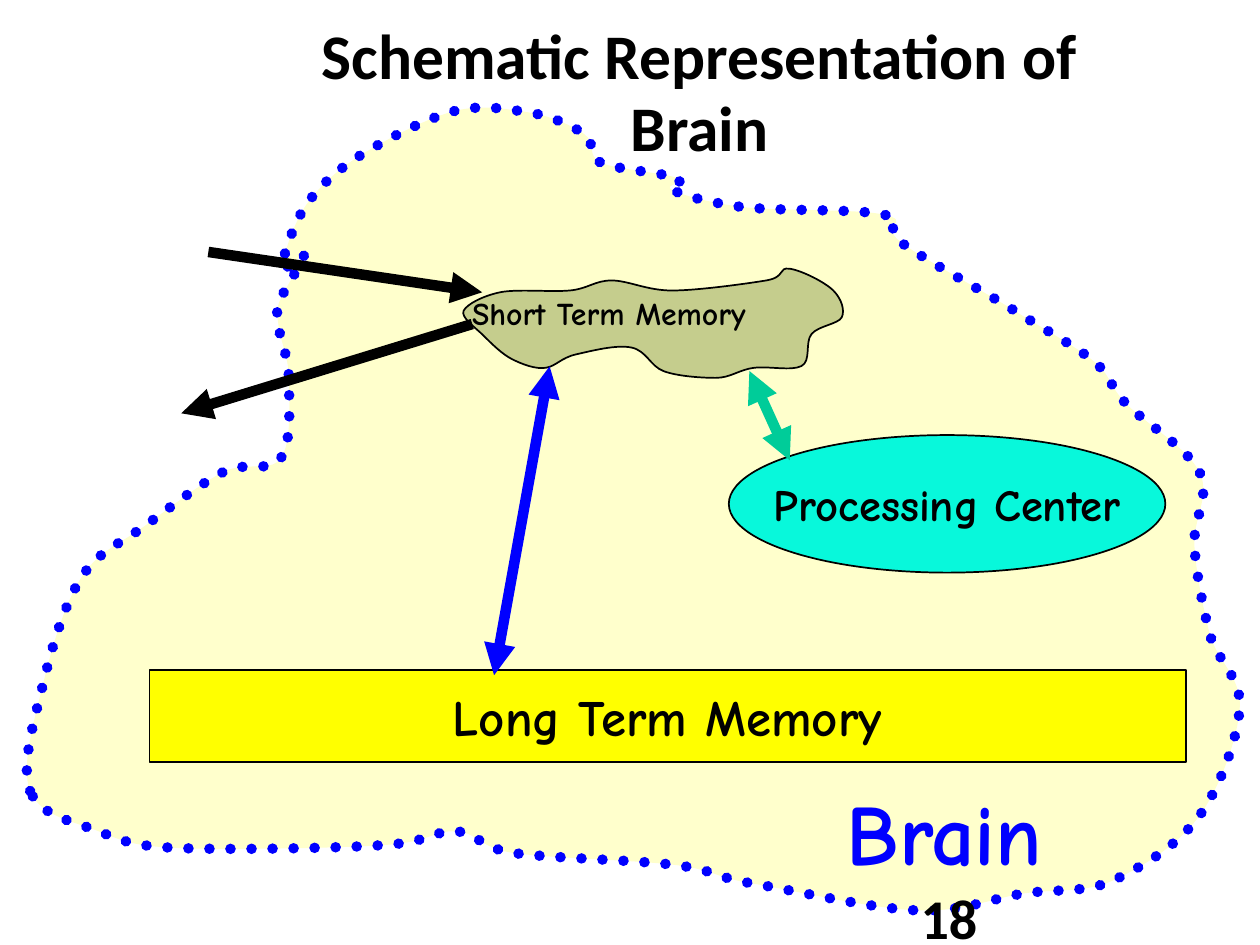
from dataclasses import dataclass
from pptx import Presentation
from pptx.dml.color import RGBColor
from pptx.enum.dml import MSO_LINE
from pptx.enum.shapes import MSO_CONNECTOR, MSO_SHAPE
from pptx.enum.text import MSO_ANCHOR as Anchor, MSO_AUTO_SIZE as AutoSize, PP_ALIGN as Align
from pptx.oxml.ns import qn
from pptx.util import Cm, Pt
from lxml.etree import SubElement

Point = tuple[float, float]

HAND_FONT = "Comic Neue"
BLACK, BLUE = "000000", "0000FF"
OUTLINE_UNIT = Cm(2.54) / 100  # outlines are drawn in hundredths of an inch

# Points that a smooth closed curve runs through
BRAIN = [
    (18, 471), (26, 406), (49, 343), (85, 314), (133, 281), (167, 273), (172, 226),
    (166, 195), (167, 178), (181, 152), (168, 159), (183, 121), (217, 91), (271, 66),
    (315, 67), (348, 80), (358, 97), (403, 106), (400, 113), (440, 123), (527, 128),
    (536, 144), (604, 185), (651, 215), (671, 241), (714, 281), (711, 325), (720, 377),
    (738, 421), (713, 487), (663, 524), (609, 532), (546, 542), (448, 526), (402, 515),
    (307, 508), (272, 495), (230, 503), (109, 505), (59, 495),
]
SHORT_TERM = [
    (276, 185), (298, 174), (339, 173), (364, 167), (400, 173), (456, 167), (470, 160),
    (496, 173), (501, 189), (483, 199), (477, 218), (449, 219), (426, 225), (395, 221),
    (376, 207), (343, 211), (325, 219), (305, 214), (288, 200),
]


@dataclass
class Box:
    left: float
    top: float
    width: float
    height: float

    def lengths(self) -> list:
        return [Cm(value) for value in (self.left, self.top, self.width, self.height)]


@dataclass
class Label:
    text: str
    size: float
    color: str = BLACK
    font: str = HAND_FONT


@dataclass
class Arrow:
    start: Point
    end: Point
    color: str
    both_ways: bool = False


def rgb(color: str) -> RGBColor:
    return RGBColor.from_string(color)


def write(shape, label: Label, align: Align = Align.LEFT):
    shape.text_frame.text = label.text
    paragraph = shape.text_frame.paragraphs[0]
    paragraph.alignment = align
    font = paragraph.font
    font.name, font.size, font.bold = label.font, Pt(label.size), True
    font.color.rgb = rgb(label.color)
    return paragraph


def set_tight(frame) -> None:
    frame.word_wrap = False
    frame.margin_left = frame.margin_right = Cm(0.18)
    frame.margin_top = frame.margin_bottom = Cm(0.08)


def paint(shape, fill: str, line: str = BLACK, width: float = 0.75) -> None:
    shape.shadow.inherit = False
    shape.fill.solid()
    shape.fill.fore_color.rgb = rgb(fill)
    shape.line.color.rgb = rgb(line)
    shape.line.width = Pt(width)


def toward(base: Point, before: Point, after: Point, share: float) -> Point:
    """Control point: base moved along the direction from before to after."""
    return tuple(b + (n - p) * share for b, p, n in zip(base, before, after))


def add_outline(slide, points: list[Point]):
    count = len(points)
    path_points = []
    for i, here in enumerate(points):
        before, following, beyond = (points[(i + step) % count] for step in (-1, 1, 2))
        path_points += [
            toward(here, before, following, 1 / 6),
            toward(following, here, beyond, -1 / 6),
            following,
        ]
    builder = slide.shapes.build_freeform(*points[0], scale=OUTLINE_UNIT)
    builder.add_line_segments(path_points, close=True)
    shape = builder.convert_to_shape()
    # Turn every three line segments into one Bézier curve
    segments = list(shape.element.iter(qn("a:lnTo")))
    for first in range(0, len(segments), 3):
        bezier = segments[first].makeelement(qn("a:cubicBezTo"))
        segments[first].addprevious(bezier)
        for segment in segments[first:first + 3]:
            bezier.append(segment[0])
            segment.getparent().remove(segment)
    return shape


def add_node(slide, kind: MSO_SHAPE, box: Box, fill: str, label: Label) -> None:
    shape = slide.shapes.add_shape(kind, *box.lengths())
    paint(shape, fill)
    set_tight(shape.text_frame)
    shape.text_frame.vertical_anchor = Anchor.MIDDLE
    write(shape, label, Align.CENTER)


def add_caption(slide, box: Box, label: Label) -> None:
    caption = slide.shapes.add_textbox(*box.lengths())
    set_tight(caption.text_frame)
    caption.text_frame.auto_size = AutoSize.SHAPE_TO_FIT_TEXT
    write(caption, label)


def add_arrow(slide, arrow: Arrow) -> None:
    ends = [Cm(value) for value in arrow.start + arrow.end]
    connector = slide.shapes.add_connector(MSO_CONNECTOR.STRAIGHT, *ends)
    connector.line.color.rgb = rgb(arrow.color)
    connector.line.width = Pt(4.5)
    properties = connector.element.spPr
    line = properties.find(qn("a:ln"))
    for tag in ("a:headEnd", "a:tailEnd") if arrow.both_ways else ("a:tailEnd",):
        SubElement(line, qn(tag), type="triangle")
    SubElement(properties, qn("a:effectLst"))


def main() -> None:
    presentation = Presentation()
    presentation.slide_width, presentation.slide_height = Cm(19.05), Cm(14.29)
    slide = presentation.slides.add_slide(presentation.slide_layouts[5])

    # Title
    title = slide.shapes.title
    title.left, title.top, title.width, title.height = Box(4.01, 0.13, 13.13, 2.59).lengths()
    heading = Label("Schematic Representation of Brain", 27.2, font="Calibri")
    write(title, heading, Align.CENTER).line_spacing = 0.94
    title.text_frame.vertical_anchor = Anchor.MIDDLE

    # Brain outline with round dots
    brain = add_outline(slide, BRAIN)
    paint(brain, "FFFFCC", BLUE, 4.5)
    brain.line.dash_style = MSO_LINE.ROUND_DOT
    brain.element.spPr.find(qn("a:ln")).set("cap", "rnd")

    # Memories, processing center and the flows between them
    add_node(slide, MSO_SHAPE.RECTANGLE, Box(2.26, 10.13, 15.67, 1.4), "FFFF00",
             Label("Long Term Memory", 21.8))
    paint(add_outline(slide, SHORT_TERM), "C5CD8D")
    add_caption(slide, Box(6.96, 4.37, 5.13, 0.76), Label("Short Term Memory", 13.6))
    add_node(slide, MSO_SHAPE.OVAL, Box(11.02, 6.58, 6.6, 2.08), "08F8DB",
             Label("Processing Center", 19.1))
    for arrow in (
        Arrow((3.15, 3.81), (7.29, 4.42), BLACK),
        Arrow((7.14, 4.9), (2.74, 6.25), BLACK),
        Arrow((8.31, 5.54), (7.47, 10.21), BLUE, both_ways=True),
        Arrow((11.33, 5.61), (11.94, 6.96), "00CC99", both_ways=True),
    ):
        add_arrow(slide, arrow)
    add_caption(slide, Box(12.62, 11.71, 3.58, 1.75), Label("Brain", 36.8, BLUE))

    # Slide number
    number = slide.shapes.add_textbox(*Box(13.67, 13.23, 4.45, 0.76).lengths())
    number.text_frame.word_wrap = True
    write(number, Label("18", 24, font="Calibri"))

    presentation.save("out.pptx")


if __name__ == "__main__":
    main()
